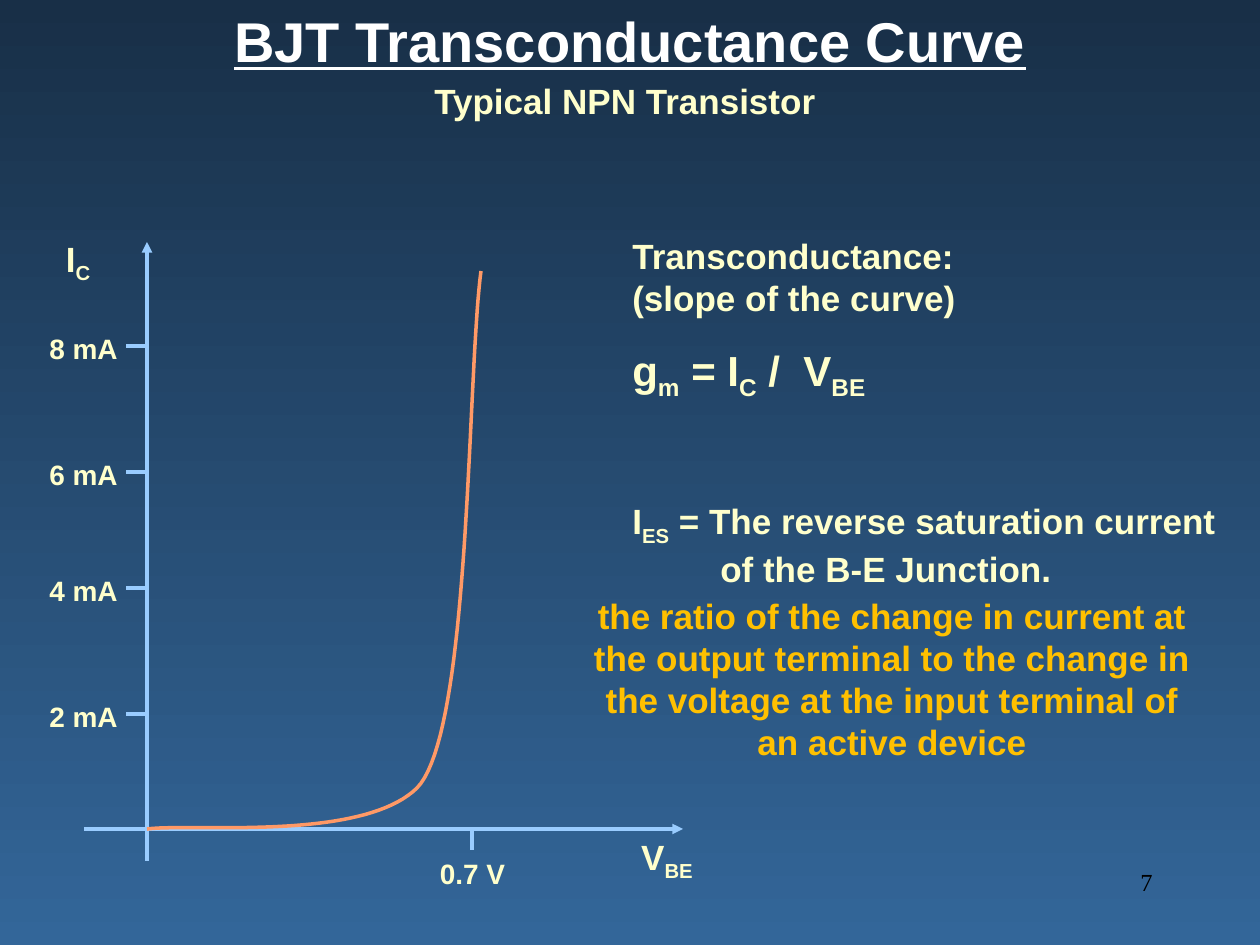
from dataclasses import dataclass
from typing import NamedTuple

from lxml import etree
from pptx import Presentation
from pptx import util as u
from pptx.dml import color
from pptx.enum import shapes, text
from pptx.oxml import ns

PX_PER_INCH = 126
LEFT, CENTER, RIGHT = text.PP_ALIGN.LEFT, text.PP_ALIGN.CENTER, text.PP_ALIGN.RIGHT


@dataclass(frozen=True)
class Theme:
    bg_top: str = "182F47"
    bg_bottom: str = "336699"
    title: str = "FFFFFF"
    body: str = "FFFFCC"
    accent: str = "FFC000"
    number: str = "000000"
    axis: str = "99CCFF"
    curve: str = "FF9966"
    sans: str = "Arial"
    serif: str = "Times New Roman"
    title_pt: int = 32
    formula_pt: int = 24
    body_pt: int = 20
    label_pt: int = 16
    number_pt: int = 14
    line_pt: int = 2


T = Theme()


class Run(NamedTuple):
    text: str
    sub: bool = False
    spacing: float = 0  # extra points after each character


class Para(NamedTuple):
    runs: tuple[Run, ...]
    size: int = T.body_pt
    before: float = 0
    indent: int = 0


class Box(NamedTuple):
    x: int
    y: int
    w: int
    h: int
    paras: tuple[Para, ...]
    color: str = T.body
    align: text.PP_ALIGN = CENTER
    font: str = T.sans
    bold: bool = True
    underline: bool = False


class Line(NamedTuple):
    x1: int
    y1: int
    x2: int
    y2: int
    arrow: bool = False


def px(n: float) -> int:
    return round(n * u.Inches(1) / PX_PER_INCH)


def rgb(value: str) -> color.RGBColor:
    return color.RGBColor.from_string(value)


def plain(words: str, size: int = T.body_pt) -> tuple[Para, ...]:
    return (Para((Run(words),), size),)


def symbol(name: str, subscript: str) -> tuple[Run, Run]:
    return Run(name), Run(subscript, sub=True)


def draw_box(slide, box: Box) -> None:
    sp = slide.shapes.add_textbox(px(box.x), px(box.y), px(box.w), px(box.h))
    tf = sp.text_frame
    tf.word_wrap = True
    for i, para in enumerate(box.paras):
        p = tf.add_paragraph() if i else tf.paragraphs[0]
        p.alignment = box.align
        p.space_before = u.Pt(para.before)
        if para.indent:
            p._p.get_or_add_pPr().set("marL", str(px(para.indent)))
        f = p.font
        f.name, f.size, f.bold = box.font, u.Pt(para.size), box.bold
        f.underline = box.underline
        f.color.rgb = rgb(box.color)
        for run in para.runs:
            r = p.add_run()
            r.text = run.text
            if run.sub:
                r._r.get_or_add_rPr().set("baseline", "-25000")
            if run.spacing:
                r._r.get_or_add_rPr().set("spc", str(round(run.spacing * 100)))


def draw_line(slide, line: Line) -> None:
    cx = slide.shapes.add_connector(
        shapes.MSO_CONNECTOR.STRAIGHT, px(line.x1), px(line.y1), px(line.x2), px(line.y2))
    cx.line.color.rgb = rgb(T.axis)
    cx.line.width = u.Pt(T.line_pt)
    if line.arrow:
        etree.SubElement(cx.line._get_or_add_ln(), ns.qn("a:tailEnd"), type="triangle")
    etree.SubElement(cx._element.spPr, ns.qn("a:effectLst"))


def bezier(points: tuple, steps: int = 40) -> list[tuple[int, int]]:
    """Points along a cubic Bezier curve in EMU, without its start."""
    result = []
    for i in range(1, steps + 1):
        t = i / steps
        weights = ((1 - t) ** 3, 3 * t * (1 - t) ** 2, 3 * t * t * (1 - t), t ** 3)
        x, y = (sum(w * c for w, c in zip(weights, axis)) for axis in zip(*points))
        result.append((px(x), px(y)))
    return result


def draw_curve(slide, start: tuple, knee: tuple, end: tuple) -> None:
    flat = bezier((start, (192, 823), (362, 842), knee))
    steep = bezier((knee, (471, 733), (467, 379), end))
    builder = slide.shapes.build_freeform(px(start[0]), px(start[1]))
    builder.add_line_segments(flat + steep, close=False)
    sp = builder.convert_to_shape()
    sp.shadow.inherit = False
    sp.fill.background()
    sp.line.color.rgb = rgb(T.curve)
    sp.line.width = u.Pt(T.line_pt)


ORIGIN_X, ORIGIN_Y = 147, 829
TICK = 21
CURRENT_TICKS = {"2 mA": 714, "4 mA": 588, "6 mA": 472, "8 mA": 346}
VOLTAGE_X = 472

LINES = [
    Line(ORIGIN_X, 861, ORIGIN_X, 242, arrow=True),
    Line(84, ORIGIN_Y, 683, ORIGIN_Y, arrow=True),
    Line(VOLTAGE_X, ORIGIN_Y + TICK, VOLTAGE_X, ORIGIN_Y),
    *(Line(ORIGIN_X - TICK, y, ORIGIN_X, y) for y in CURRENT_TICKS.values()),
]

EXPLANATION = (
    Para((Run("Transconductance:"),)),
    Para((Run("(slope of the curve)"),)),
    Para((*symbol("g", "m"), Run(" = "), *symbol("I", "C"), Run(" /"),
          Run(" ", spacing=6.67), *symbol("V", "BE")), T.formula_pt, before=15),
    Para((*symbol("I", "ES"), Run(" = The reverse saturation current")), before=56),
    Para((Run("of the B-E Junction."),), indent=88),
)
DEFINITION = ("the ratio of the change in current at the output terminal to the change in "
              "the voltage at the input terminal of an active device")

BOXES = [
    Box(126, 0, 1008, 81, plain("BJT Transconductance Curve", T.title_pt),
        T.title, underline=True),
    Box(247, 73, 756, 55, plain("Typical NPN Transistor")),
    Box(620, 829, 94, 60, (Para(symbol("V", "BE")),)),
    Box(31, 231, 94, 60, (Para(symbol("I", "C")),)),
    *(Box(31, y - TICK, 105, 47, plain(label, T.label_pt))
      for label, y in CURRENT_TICKS.items()),
    Box(VOLTAGE_X - 52, 850, 105, 47, plain("0.7 V", T.label_pt)),
    Box(620, 228, 640, 370, EXPLANATION, align=LEFT),
    Box(903, 861, 262, 63, plain("7", T.number_pt), T.number, RIGHT, T.serif, bold=False),
    Box(577, 588, 630, 181, plain(DEFINITION), T.accent),
]


def main() -> None:
    prs = Presentation()
    prs.slide_width, prs.slide_height = px(1260), px(945)
    slide = prs.slides.add_slide(prs.slide_layouts[6])
    fill = slide.background.fill
    fill.gradient()
    fill.gradient_angle = 270
    for stop, value in zip(fill.gradient_stops, (T.bg_top, T.bg_bottom)):
        stop.color.rgb = rgb(value)
    for line in LINES:
        draw_line(slide, line)
    draw_curve(slide, (ORIGIN_X, ORIGIN_Y), (417, 788), (481, 271))
    for box in BOXES:
        draw_box(slide, box)
    prs.save("out.pptx")


if __name__ == "__main__":
    main()
